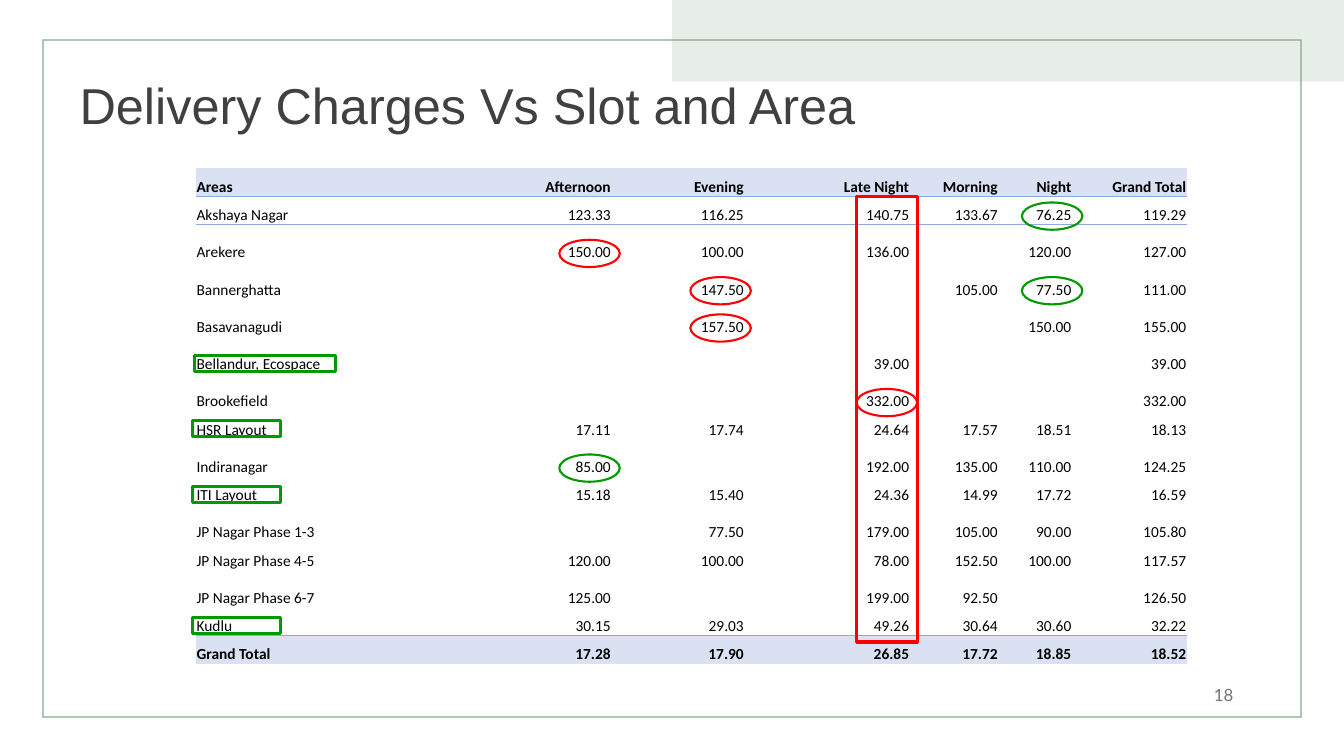
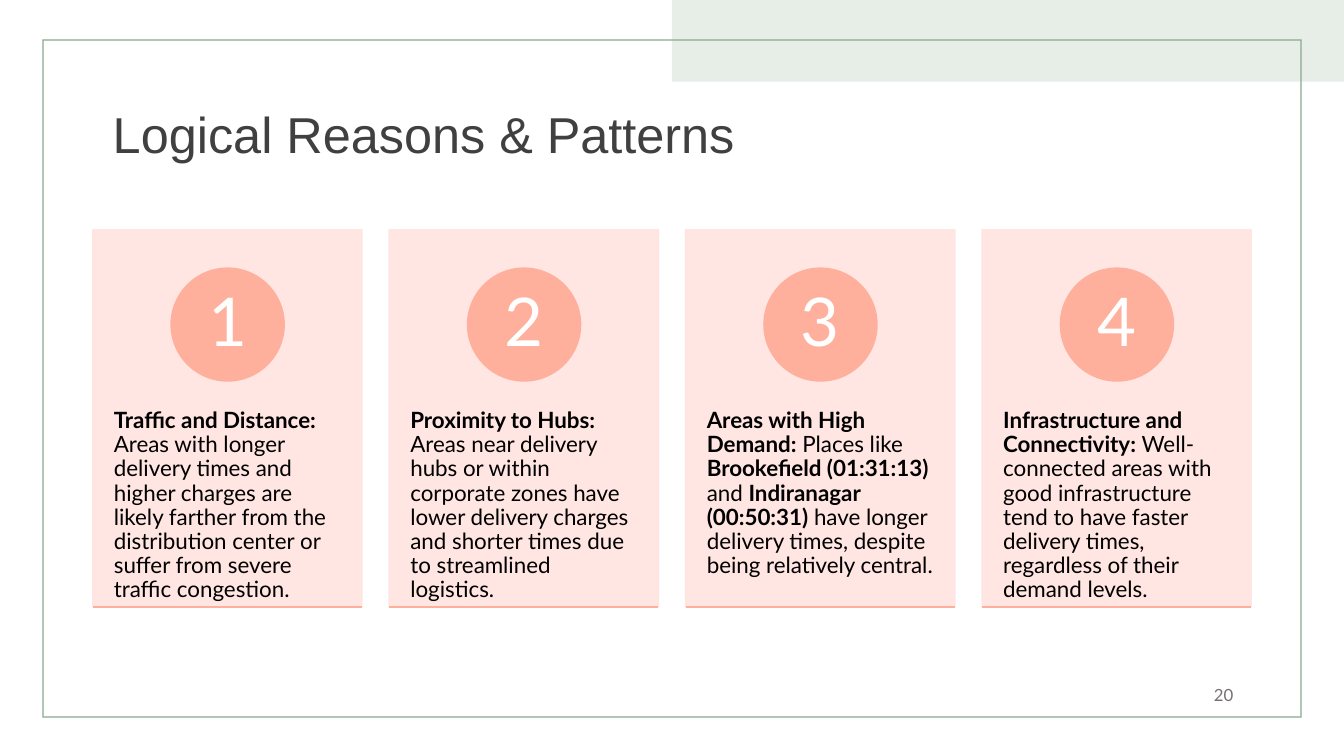
import dataclasses
import itertools

import lxml.etree
import pptx
import pptx.dml.color
import pptx.enum.shapes
import pptx.enum.text
import pptx.oxml.ns
import pptx.util

Pt = pptx.util.Pt
Inches = pptx.util.Inches
SHAPE = pptx.enum.shapes.MSO_SHAPE
ALIGN = pptx.enum.text.PP_ALIGN
ANCHOR = pptx.enum.text.MSO_ANCHOR
qn = pptx.oxml.ns.qn

COLORS = {
    "band": "E7EEE8", "frame": "88A88E", "title": "404040", "page": "767171",
    "text": "000000", "white": "FFFFFF", "table_band": "D9E1F2",
    "table_rule": "8EA9DB", "high": "FF0000", "low": "009900",
    "card": "FFE4DF", "accent": "FFB09D",
}
FONTS = {
    "title": {"name": "Arial", "size": Pt(36), "color": "title"},
    "page": {"name": "Lato", "size": Pt(12), "color": "page"},
    "cell": {"name": "Calibri", "size": Pt(11), "color": "text"},
    "body": {"name": "Lato", "size": Pt(16), "color": "text"},
    "number": {"name": "Lato", "size": Pt(48), "color": "white"},
}
NO_STYLE_TABLE = "{2D5ABB26-0587-4C30-8999-92F81FD0307C}"


@dataclasses.dataclass
class Box:
    left: float
    top: float
    width: float
    height: float

    def inner(self, left, top, width, height):
        """Inner box, with its lengths in percent of this one."""
        return Box(self.left + self.width * left / 100,
                   self.top + self.height * top / 100,
                   self.width * width / 100, self.height * height / 100)

    def emu(self):
        return [round(v) for v in dataclasses.astuple(self)]


PAGE = Box(0, 0, Inches(13.33), Inches(7.5))

# Delivery charges
AREA_COLUMNS = ["Areas", "Afternoon", "Evening", "Late Night", "Morning",
                "Night", "Grand Total"]
COLUMN_WEIGHTS = [2.5, 1.63, 1.32, 1.64, 0.88, 0.73, 1.14]
CHARGES = [
    ["Akshaya Nagar", "123.33", "116.25", "140.75", "133.67", "76.25", "119.29"],
    ["Arekere", "150.00", "100.00", "136.00", "", "120.00", "127.00"],
    ["Bannerghatta", "", "147.50", "", "105.00", "77.50", "111.00"],
    ["Basavanagudi", "", "157.50", "", "", "150.00", "155.00"],
    ["Bellandur, Ecospace", "", "", "39.00", "", "", "39.00"],
    ["Brookefield", "", "", "332.00", "", "", "332.00"],
    ["HSR Layout", "17.11", "17.74", "24.64", "17.57", "18.51", "18.13"],
    ["Indiranagar", "85.00", "", "192.00", "135.00", "110.00", "124.25"],
    ["ITI Layout", "15.18", "15.40", "24.36", "14.99", "17.72", "16.59"],
    ["JP Nagar Phase 1-3", "", "77.50", "179.00", "105.00", "90.00", "105.80"],
    ["JP Nagar Phase 4-5", "120.00", "100.00", "78.00", "152.50", "100.00", "117.57"],
    ["JP Nagar Phase 6-7", "125.00", "", "199.00", "92.50", "", "126.50"],
    ["Kudlu", "30.15", "29.03", "49.26", "30.64", "30.60", "32.22"],
    ["Grand Total", "17.28", "17.90", "26.85", "17.72", "18.85", "18.52"],
]
# Table row, table column, colour
CIRCLED = [(1, 5, "low"), (2, 1, "high"), (3, 2, "high"), (3, 5, "low"),
           (4, 2, "high"), (6, 3, "high"), (8, 1, "low")]
# How far a circle passes the right edge of its column
CIRCLE_REACH = {1: 0.8, 2: 0.6, 3: 0.7, 5: 1}
# Table row, start, width
BOXED_AREAS = [(5, -0.1, 14.2), (7, -0.3, 8.84), (9, -0.3, 8.84), (13, -0.3, 8.84)]

# Reasons: text runs, each with its weight
REASONS = [
    [("Traffic and Distance:", True),
     (" Areas with longer delivery times and higher charges are likely farther "
      "from the distribution center or suffer from severe traffic congestion.", False)],
    [("Proximity to Hubs:", True),
     (" Areas near delivery hubs or within corporate zones have lower delivery "
      "charges and shorter times due to streamlined logistics.", False)],
    [("Areas with High Demand:", True), (" Places like ", False),
     ("Brookefield (01:31:13)", True), (" and ", False),
     ("Indiranagar (00:50:31)", True),
     (" have longer delivery times, despite being relatively central.", False)],
    [("Infrastructure and Connectivity:", True),
     (" Well-connected areas with good infrastructure tend to have faster "
      "delivery times, regardless of their demand levels.", False)],
]


def rgb(key):
    return pptx.dml.color.RGBColor.from_string(COLORS[key])


def apply(target, values):
    for name, value in values.items():
        setattr(target, name, value)


def write(paragraph, runs, style, **paragraph_format):
    apply(paragraph, paragraph_format)
    for text, bold in runs:
        run = paragraph.add_run()
        run.text = text
        font_values = {**FONTS[style], "bold": bold}
        run.font.color.rgb = rgb(font_values.pop("color"))
        apply(run.font, font_values)


def add_text(slide, box, runs, style, frame_format, **paragraph_format):
    frame = slide.shapes.add_textbox(*box.emu()).text_frame
    apply(frame, {"word_wrap": True, **frame_format})
    write(frame.paragraphs[0], runs, style, **paragraph_format)


def add_shape(slide, kind, box, fill=None, line=None, weight=1):
    shape = slide.shapes.add_shape(kind, *box.emu())
    shape.shadow.inherit = False
    if fill:
        shape.fill.solid()
        shape.fill.fore_color.rgb = rgb(fill)
    else:
        shape.fill.background()
    if line:
        shape.line.color.rgb = rgb(line)
        shape.line.width = Pt(weight)
    else:
        shape.line.fill.background()
    return shape


def add_base(prs, title, title_share, page_number):
    """Slide with the shared band, frame, title and page number."""
    slide = prs.slides.add_slide(prs.slide_layouts[6])
    add_shape(slide, SHAPE.RECTANGLE, PAGE.inner(50, 0, 50, 10.8), "band")
    frame = add_shape(slide, SHAPE.FRAME, PAGE.inner(3.15, 5.2, 93.7, 89.73), "frame")
    frame.adjustments[0] = 0.002
    middle = {"vertical_anchor": ANCHOR.MIDDLE}
    add_text(slide, PAGE.inner(*title_share), [(title, False)], "title", middle,
             line_spacing=0.9, space_after=Pt(6))
    add_text(slide, PAGE.inner(70, 89.2, 22.5, 5.33), [(page_number, False)], "page",
             middle, alignment=ALIGN.RIGHT, space_after=Pt(6))
    return slide


def add_rule(cell, side):
    rule = lxml.etree.SubElement(cell._tc.get_or_add_tcPr(), qn(f"a:{side}"), w=str(Pt(0.5)))
    fill = lxml.etree.SubElement(rule, qn("a:solidFill"))
    lxml.etree.SubElement(fill, qn("a:srgbClr"), val=COLORS["table_rule"])


def add_charges_table(slide, box):
    """Table of charges; returns column and row edges in percent of the box."""
    rows = [AREA_COLUMNS, *CHARGES]
    last = len(rows) - 1
    row_weights = [0.28 if all(row) else 0.37 for row in rows]
    rules = {0: "lnB", 1: "lnT", last - 1: "lnB", last: "lnT"}
    table = slide.shapes.add_table(len(rows), len(AREA_COLUMNS), *box.emu()).table
    apply(table, {"first_row": False, "horz_banding": False})
    table._tbl.tblPr.find(qn("a:tableStyleId")).text = NO_STYLE_TABLE
    for column, weight in zip(table.columns, COLUMN_WEIGHTS):
        column.width = round(box.width * weight / sum(COLUMN_WEIGHTS))
    for r, (values, weight) in enumerate(zip(rows, row_weights)):
        table.rows[r].height = round(box.height * weight / sum(row_weights))
        banded = r in (0, last)
        for c, value in enumerate(values):
            cell = table.cell(r, c)
            apply(cell, {"margin_left": Inches(0.01), "margin_right": Inches(0.01),
                         "margin_top": Inches(0.01), "margin_bottom": 0,
                         "vertical_anchor": ANCHOR.BOTTOM})
            if r in rules:
                add_rule(cell, rules[r])
            if banded:
                cell.fill.solid()
                cell.fill.fore_color.rgb = rgb("table_band")
            else:
                cell.fill.background()
            if value:
                write(cell.text_frame.paragraphs[0], [(value, banded)], "cell",
                      alignment=ALIGN.RIGHT if c else ALIGN.LEFT)
    return [[100 * edge / sum(weights) for edge in itertools.accumulate(weights, initial=0)]
            for weights in (COLUMN_WEIGHTS, row_weights)]


def add_marks(slide, box, column_edges, row_edges):
    """Circles on single values, boxes on areas and on the late slot."""
    width, height = 6.1, 5.5
    for row, column, color in CIRCLED:
        right = column_edges[column + 1] + CIRCLE_REACH[column]
        bottom = row_edges[row + 1] + 1
        add_shape(slide, SHAPE.OVAL, box.inner(right - width, bottom - height, width, height),
                  line=color, weight=1.5)
    for row, left, area_width in BOXED_AREAS:
        area = box.inner(left, row_edges[row + 1] - 3.75, area_width, 3.25)
        add_shape(slide, SHAPE.RECTANGLE, area, line="low", weight=2.25)
    late_left = column_edges[4] + CIRCLE_REACH[3] - width
    late = box.inner(late_left, row_edges[1], width, row_edges[-2] + 1.2 - row_edges[1])
    add_shape(slide, SHAPE.RECTANGLE, late, line="high", weight=2.25)


def add_reason_card(slide, box, number, runs):
    # Panel, slightly transparent
    panel = add_shape(slide, SHAPE.RECTANGLE, box, "card", "card")
    for color in panel._element.spPr.iter(qn("a:srgbClr")):
        lxml.etree.SubElement(color, qn("a:alpha"), val="90000")
    # Reason
    insets = {"margin_left": Inches(0.21), "margin_right": Inches(0.21),
              "margin_top": Inches(0.36), "margin_bottom": Inches(0.36)}
    add_text(slide, box.inner(0, 37.97, 100, 60.16), runs, "body", insets, line_spacing=0.9)
    # Numbered circle
    circle = add_shape(slide, SHAPE.OVAL, box.inner(29.1, 10.16, 42, 29.95), "accent", "accent")
    apply(circle.text_frame, {"vertical_anchor": ANCHOR.MIDDLE,
                              "margin_top": Inches(0.01), "margin_bottom": Inches(0.01)})
    write(circle.text_frame.paragraphs[0], [(str(number), False)], "number",
          alignment=ALIGN.CENTER, line_spacing=0.9)
    # Base line
    left, base, width, _ = box.inner(0, 100, 100, 0).emu()
    line = slide.shapes.add_connector(pptx.enum.shapes.MSO_CONNECTOR.STRAIGHT,
                                      left, base, left + width, base)
    line.line.color.rgb = rgb("accent")
    line.line.width = Pt(1)
    lxml.etree.SubElement(line._element.spPr, qn("a:effectLst"))


def add_reason_cards(slide, box):
    width = 23.24
    pitch = (100 - width) / (len(REASONS) - 1)
    for i, runs in enumerate(REASONS):
        add_reason_card(slide, box.inner(i * pitch, 0, width, 100), i + 1, runs)


def main():
    prs = pptx.Presentation()
    prs.slide_width, prs.slide_height = PAGE.width, PAGE.height

    charges = add_base(prs, "Delivery Charges Vs Slot and Area", (5.18, 7.07, 86.27, 14.4), "18")
    table_box = PAGE.inner(14.55, 22.27, 73.8, 65.6)
    add_marks(charges, table_box, *add_charges_table(charges, table_box))

    reasons = add_base(prs, "Logical Reasons & Patterns", (7.65, 7.07, 86.27, 22.27), "20")
    add_reason_cards(reasons, PAGE.inner(6.9, 30.4, 86.2, 49.87))

    prs.save("out.pptx")


if __name__ == "__main__":
    main()
